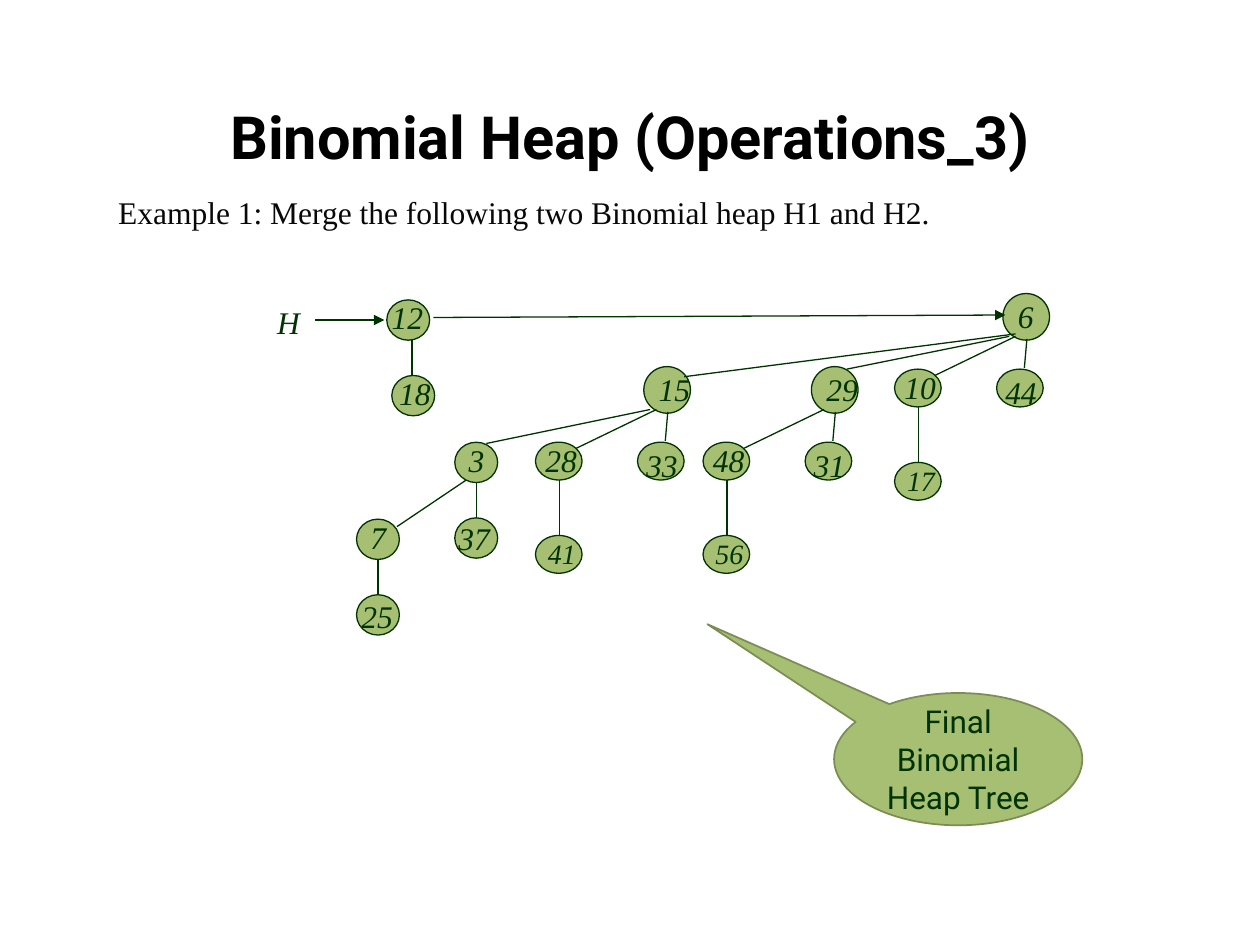
from pptx import Presentation
from pptx.dml.color import RGBColor
from pptx.enum.shapes import MSO_CONNECTOR, MSO_SHAPE
from pptx.enum.text import MSO_ANCHOR, PP_ALIGN
from pptx.oxml.ns import qn
from pptx.util import Inches, Pt
from lxml import etree

OVAL = MSO_SHAPE.OVAL
CALLOUT = MSO_SHAPE.OVAL_CALLOUT
STRAIGHT = MSO_CONNECTOR.STRAIGHT
MIDDLE = MSO_ANCHOR.MIDDLE
CENTER = PP_ALIGN.CENTER
JUSTIFY = PP_ALIGN.JUSTIFY
SERIF = "Times New Roman"
SANS = "Roboto"
COLORS = {
    "title": "000000",
    "body": "080808",
    "ink": "003300",
    "node": "A6BF73",
    "callout_line": "7B8D55",
}

presentation = Presentation()
presentation.slide_width = Inches(10)
presentation.slide_height = Inches(7.5)
slide = presentation.slides.add_slide(presentation.slide_layouts[5])


def write(shape, text, size, color, font=SERIF, bold=False, italic=False, align=None):
    """Set one paragraph of text and format it."""
    shape.text_frame.word_wrap = True
    paragraph = shape.text_frame.paragraphs[0]
    paragraph.text = text
    paragraph.alignment = align
    run_font = paragraph.runs[0].font
    run_font.name = font
    run_font.size = Pt(size)
    run_font.bold = bold
    run_font.italic = italic
    run_font.color.rgb = RGBColor.from_string(COLORS[color])


def place(box):
    return [Inches(round(length, 2)) for length in box]


# Title and task
title = slide.shapes.title
title.left, title.top, title.width, title.height = place((0.5, 0.68, 9, 0.79))
title.text_frame.vertical_anchor = MIDDLE
write(title, "Binomial Heap (Operations_3)", 34, "title", SANS, bold=True, align=CENTER)
task = slide.shapes.add_textbox(*place((0.84, 1.48, 7.86, 0.62)))
write(task, "Example 1: Merge the following two Binomial heap H1 and H2.",
      18, "body", align=JUSTIFY)

nodes = []   # left, top, width, height
labels = []  # text, left, top, width, height, size
edges = []   # from x, from y, to x, to y

# Four-node trees: root, right leaf, left child and its leaf
four_node_trees = [
    (7.96, 2.33, ("6", "44", "10", "17")),
    (6.44, 2.91, ("29", "31", "48", "56")),
    (5.11, 2.91, ("15", "33", "28", "41")),
]
# Node offset and height, label offset, width, height and size
four_node_layout = [
    (0, 0, 0.37, 0.02, -0.02, 0.47, 0.4, 18),
    (-0.05, 0.6, 0.3, -0.08, 0.58, 0.49, 0.4, 18),
    (-0.86, 0.6, 0.3, -0.88, 0.54, 0.47, 0.4, 18),
    (-0.86, 1.34, 0.3, -0.86, 1.3, 0.59, 0.37, 16),
]
four_node_edges = [
    (0.19, 0.36, 0.17, 0.59),
    (-0.54, 0.65, 0.1, 0.34),
    (-0.67, 0.9, -0.67, 1.34),
]
for x, y, keys in four_node_trees:
    for key, (dx, dy, height, label_dx, label_dy, width, label_height, size) in zip(
            keys, four_node_layout):
        nodes.append((x + dx, y + dy, 0.37, height))
        labels.append((key, x + label_dx, y + label_dy, width, label_height, size))
    for x1, y1, x2, y2 in four_node_edges:
        edges.append((x + x1, y + y1, x + x2, y + y2))

# Two-node trees: parent above child, with the left edge of each node and label
two_node_trees = [
    (2.38, 3.27, ("12", 3.07, 3.01, -0.06, 0.55), ("18", 3.11, 3.07, -0.06, 0.55)),
    (4.12, 3.0, ("7", 2.83, 2.84, -0.06, 0.42), ("25", 2.83, 2.77, -0.03, 0.47)),
    (3.51, 3.78, ("3", 3.61, 3.62, -0.06, 0.42), ("37", 3.61, 3.54, -0.04, 0.47)),
]
for top, edge_x, *pair in two_node_trees:
    for row, (key, left, label_left, label_dy, width) in enumerate(pair):
        node_top = top + 0.6 * row
        nodes.append((left, node_top, 0.34, 0.32))
        labels.append((key, label_left, node_top + label_dy, width, 0.4, 18))
    edges.append((edge_x, top + 0.32, edge_x, top + 0.6))

# Heap pointer and edges that join the trees
labels.append(("H", 2.1, 2.36, 0.61, 0.4, 18))
edges += [
    (6.72, 2.93, 8.01, 2.67),
    (5.43, 2.99, 8.06, 2.65),
    (3.86, 3.52, 5.16, 3.25),
    (3.15, 4.18, 3.7, 3.81),
]
arrows = [(2.5, 2.54, 3.05, 2.54), (3.44, 2.52, 7.98, 2.5)]

# Draw nodes, lines and labels
for box in nodes:
    node = slide.shapes.add_shape(OVAL, *place(box))
    node.shadow.inherit = False
    node.fill.solid()
    node.fill.fore_color.rgb = RGBColor.from_string(COLORS["node"])
    node.line.color.rgb = RGBColor.from_string(COLORS["ink"])
    node.line.width = Pt(0.75)

for ends in edges + arrows:
    connector = slide.shapes.add_connector(STRAIGHT, *place(ends))
    connector.line.color.rgb = RGBColor.from_string(COLORS["ink"])
    connector.line.width = Pt(0.75)
    properties = connector._element.spPr
    etree.SubElement(properties, qn("a:effectLst"))
    if ends in arrows:
        etree.SubElement(properties.find(qn("a:ln")), qn("a:tailEnd"), type="triangle")

for text, *box, size in labels:
    label = slide.shapes.add_textbox(*place(box))
    write(label, text, size, "ink", italic=True)

# Callout
callout = slide.shapes.add_shape(CALLOUT, *place((6.62, 5.5, 1.97, 1.05)))
callout.adjustments[0] = -1.01
callout.adjustments[1] = -1.02
callout.shadow.inherit = False
callout.fill.solid()
callout.fill.fore_color.rgb = RGBColor.from_string(COLORS["node"])
callout.line.color.rgb = RGBColor.from_string(COLORS["callout_line"])
callout.line.width = Pt(1)
callout.text_frame.vertical_anchor = MIDDLE
write(callout, "Final Binomial Heap Tree", 18, "ink", SANS, align=CENTER)

presentation.save("out.pptx")
